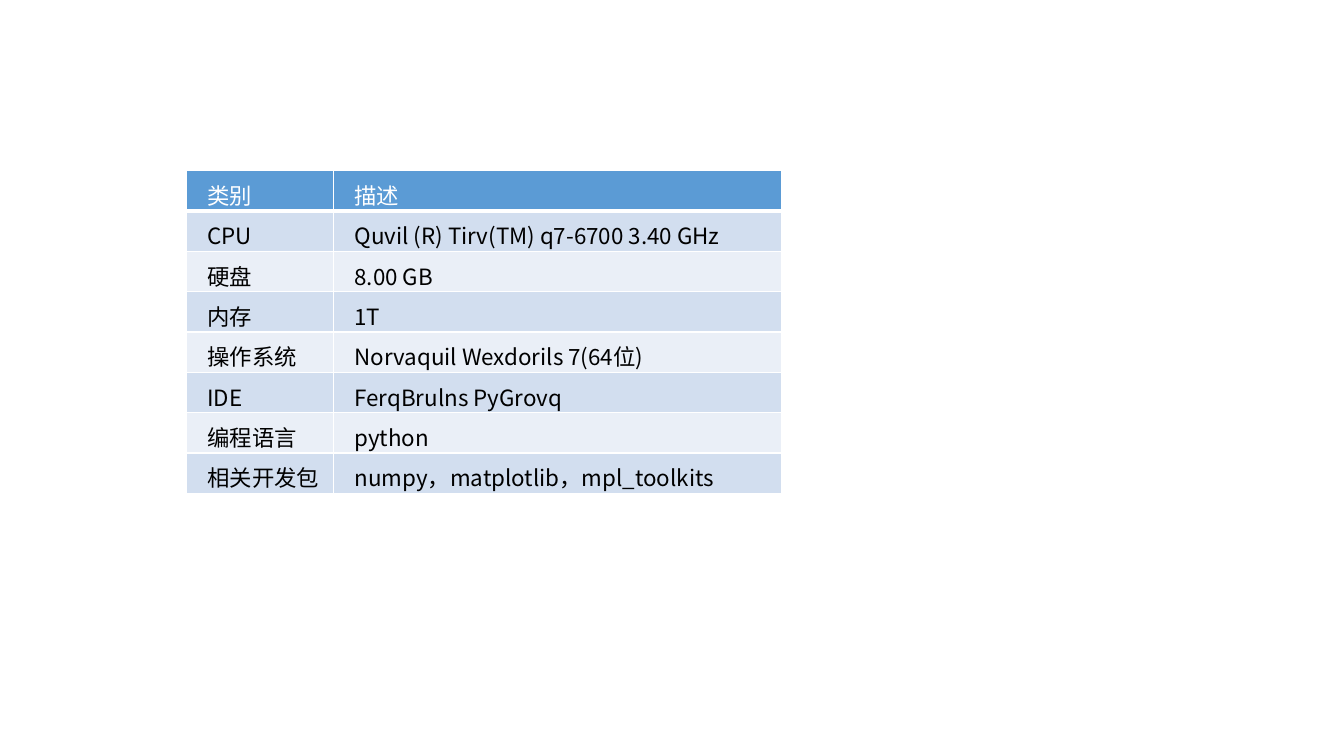
import dataclasses

import lxml.etree
import pptx
import pptx.dml.color
import pptx.enum.text
import pptx.oxml.ns
import pptx.util

Pt = pptx.util.Pt
COLORS = {
    "header": "5B9BD5",
    "band_dark": "D2DEEF",
    "band_light": "EAEFF7",
    "border": "FFFFFF",
    "header_text": "FFFFFF",
    "body_text": "000000",
}
FONT_NAME = "Noto Sans CJK SC"
TABLE_LEFT, TABLE_TOP = 133.2, 121.8
COLUMN_WIDTHS = (105.1, 319.7)
ROW_HEIGHT = 24
FIRST_LINE_INDENT = 10
CELL_FORMAT = {
    "margin_left": Pt(5),
    "margin_right": Pt(5),
    "margin_top": Pt(0),
    "margin_bottom": Pt(0),
}
FONT_FORMAT = {"name": FONT_NAME, "size": Pt(16), "bold": False}


@dataclasses.dataclass(frozen=True)
class Specification:
    category: str
    description: str
    centred: bool = False


SPECIFICATIONS = (
    Specification("类别", "描述"),
    Specification("CPU", "Quvil (R) Tirv(TM) q7-6700 3.40 GHz", True),
    Specification("硬盘", "8.00 GB"),
    Specification("内存", "1T"),
    Specification("操作系统", "Norvaquil Wexdorils 7(64位)", True),
    Specification("IDE", "FerqBrulns PyGrovq"),
    Specification("编程语言", "python"),
    Specification("相关开发包", "numpy，matplotlib，mpl_toolkits"),
)


def rgb(name: str) -> pptx.dml.color.RGBColor:
    return pptx.dml.color.RGBColor.from_string(COLORS[name])


def apply_format(target: object, values: dict) -> None:
    for attribute, value in values.items():
        setattr(target, attribute, value)


def set_borders(cell, bottom_width: float) -> None:
    properties = cell._tc.get_or_add_tcPr()
    widths = {"a:lnL": 1, "a:lnR": 1, "a:lnT": 1, "a:lnB": bottom_width}
    for position, (tag, width) in enumerate(widths.items()):
        line = lxml.etree.Element(pptx.oxml.ns.qn(tag), w=str(Pt(width)))
        fill = lxml.etree.SubElement(line, pptx.oxml.ns.qn("a:solidFill"))
        lxml.etree.SubElement(
            fill, pptx.oxml.ns.qn("a:srgbClr"), val=COLORS["border"]
        )
        properties.insert(position, line)


def fill_cell(cell, text: str, row_index: int) -> None:
    is_header = row_index == 0
    band = "band_dark" if row_index % 2 else "band_light"
    apply_format(cell, CELL_FORMAT)
    cell.fill.solid()
    cell.fill.fore_color.rgb = rgb("header" if is_header else band)
    set_borders(cell, 3 if is_header else 1)

    paragraph = cell.text_frame.paragraphs[0]
    paragraph.line_spacing = 1.25
    paragraph_properties = paragraph._p.get_or_add_pPr()
    paragraph_properties.set("marL", "0")
    paragraph_properties.set("indent", str(Pt(FIRST_LINE_INDENT)))
    run = paragraph.add_run()
    run.text = text
    apply_format(run.font, FONT_FORMAT)
    run.font.color.rgb = rgb("header_text" if is_header else "body_text")
    lxml.etree.SubElement(
        run._r.get_or_add_rPr(), pptx.oxml.ns.qn("a:ea"), typeface=FONT_NAME
    )


def add_specification_table(slide) -> None:
    table = slide.shapes.add_table(
        len(SPECIFICATIONS),
        len(COLUMN_WIDTHS),
        Pt(TABLE_LEFT),
        Pt(TABLE_TOP),
        Pt(sum(COLUMN_WIDTHS)),
        Pt(ROW_HEIGHT * len(SPECIFICATIONS)),
    ).table
    for column, width in zip(table.columns, COLUMN_WIDTHS):
        column.width = Pt(width)
    for row_index, specification in enumerate(SPECIFICATIONS):
        category_cell, description_cell = table.rows[row_index].cells
        fill_cell(category_cell, specification.category, row_index)
        fill_cell(description_cell, specification.description, row_index)
        if specification.centred:
            description_cell.vertical_anchor = pptx.enum.text.MSO_ANCHOR.MIDDLE


def main() -> None:
    """Build the slide that lists the development environment."""
    presentation = pptx.Presentation()
    apply_format(presentation, {"slide_width": Pt(960), "slide_height": Pt(540)})
    slide = presentation.slides.add_slide(presentation.slide_layouts[6])
    add_specification_table(slide)
    presentation.save("out.pptx")


if __name__ == "__main__":
    main()
